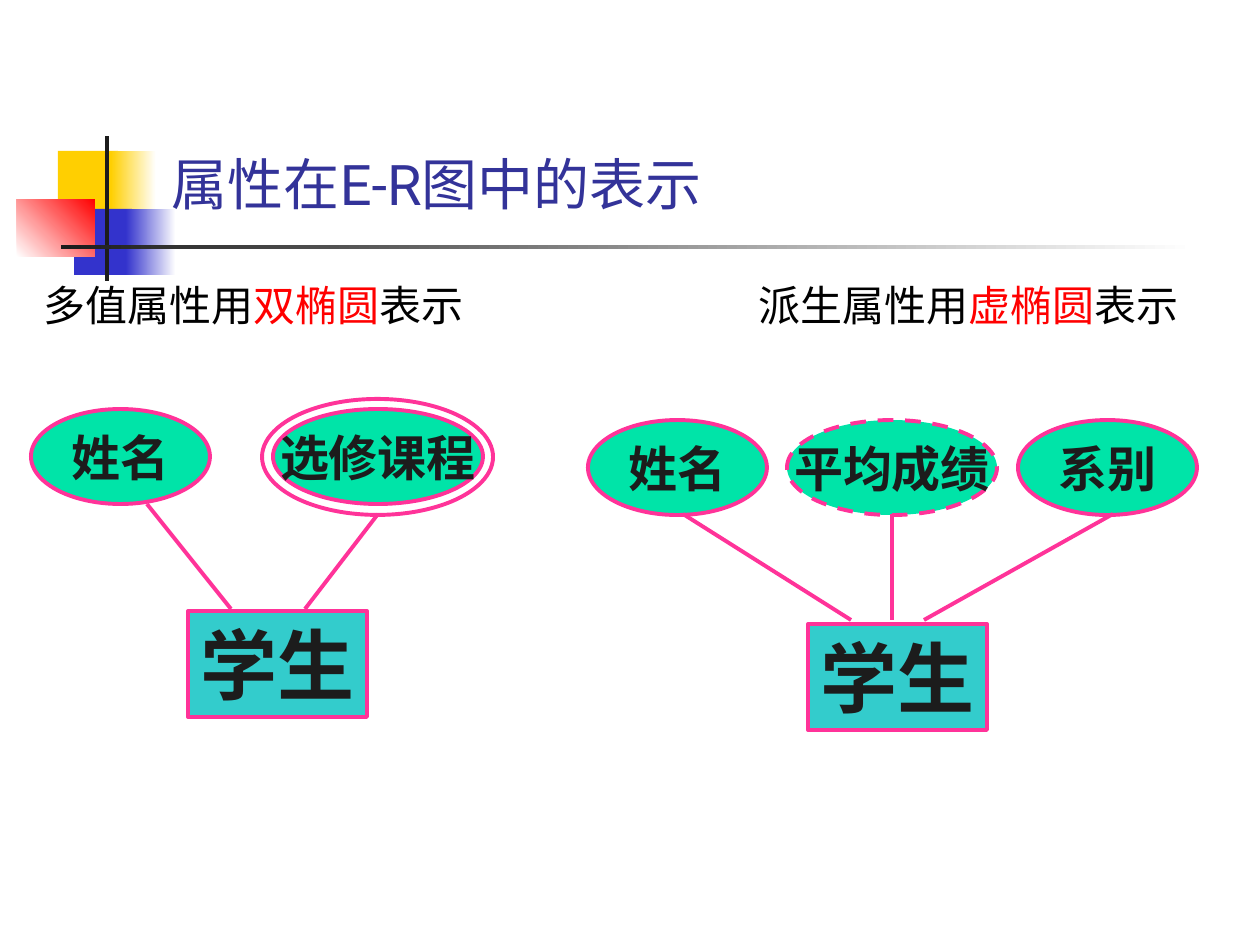
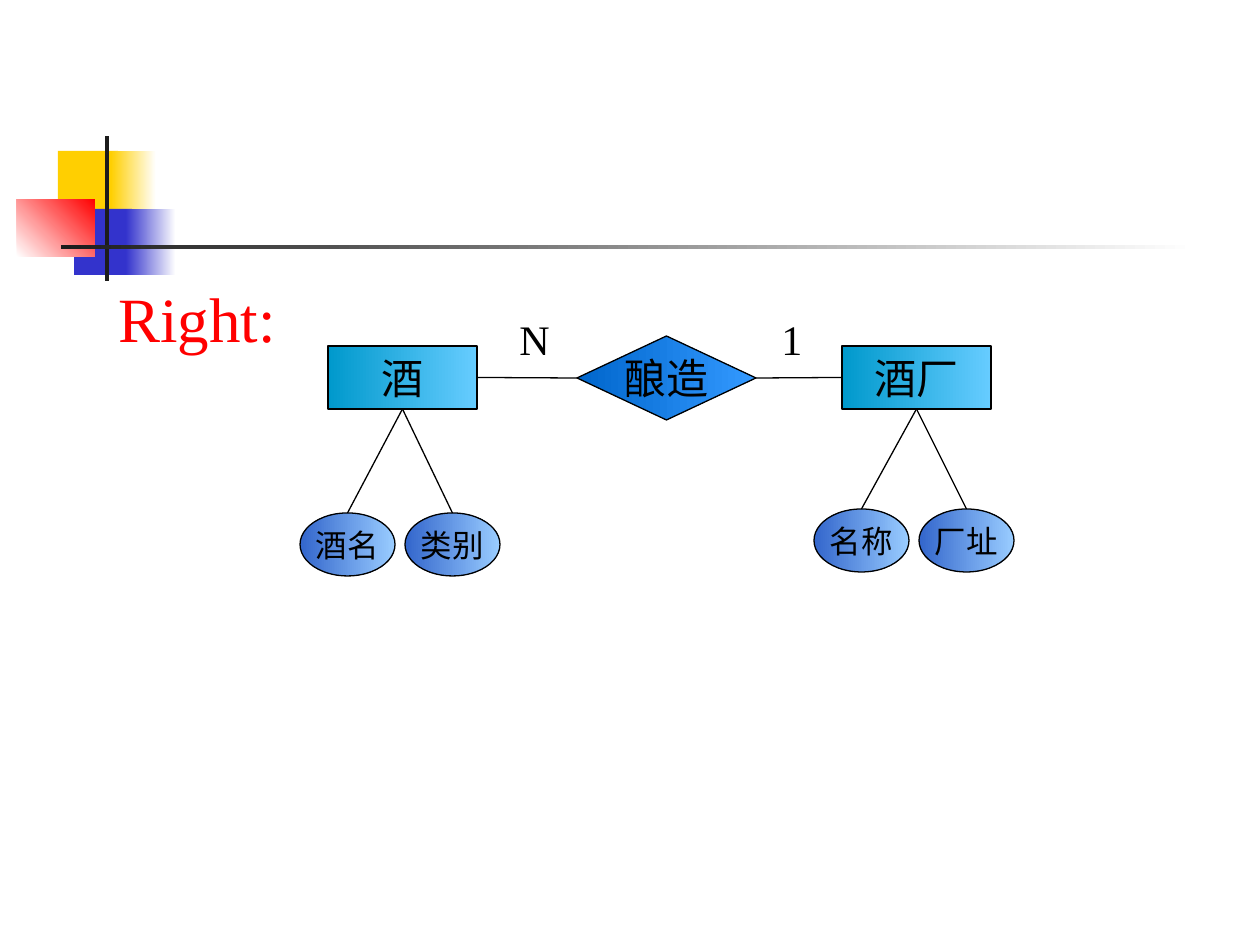
from lxml.etree import SubElement
from pptx import Presentation
from pptx.dml.color import RGBColor
from pptx.enum.dml import MSO_LINE
from pptx.enum.shapes import MSO_CONNECTOR, MSO_SHAPE
from pptx.enum.text import MSO_ANCHOR, PP_ALIGN
from pptx.oxml.ns import qn
from pptx.util import Pt

PX = 914400 / 126
RECT, OVAL = MSO_SHAPE.RECTANGLE, MSO_SHAPE.OVAL
DIAMOND = MSO_SHAPE.FLOWCHART_DECISION
BLACK, DARK, WHITE, RED = "000000", "1C1C1C", "FFFFFF", "FF0000"
PINK, GREEN, TEAL = "FF3399", "00E4A8", "33CCCC"
YELLOW, BLUE, TITLE = "FFCF01", "3333CC", "333399"
BOLD = {"name": "Times New Roman", "bold": True}
PLAIN = {"name": "Times New Roman", "bold": False}
SANS = {"name": "Roboto", "bold": False}


def draw(slide, kind, box, hues=(), edge=None, width=0.75, angle=0):
    """Add a shape with no fill, a solid fill or a two-colour gradient."""
    shape = slide.shapes.add_shape(kind, *[round(n * PX) for n in box])
    shape.shadow.inherit = False
    if len(hues) == 2:
        shape.fill.gradient()
        shape.fill.gradient_angle = angle
        for stop, hue in zip(shape.fill.gradient_stops, hues):
            stop.color.rgb = RGBColor.from_string(hue)
    elif hues:
        shape.fill.solid()
        shape.fill.fore_color.rgb = RGBColor.from_string(hues[0])
    else:
        shape.fill.background()
    if edge:
        shape.line.color.rgb = RGBColor.from_string(edge)
        shape.line.width = Pt(width)
    else:
        shape.line.fill.background()
    return shape


def write(shape, runs, size, style, align=PP_ALIGN.CENTER,
          anchor=MSO_ANCHOR.MIDDLE, wrap=False):
    """Fill a shape with one paragraph of (text, colour) runs."""
    frame = shape.text_frame
    frame.word_wrap = wrap
    frame.vertical_anchor = anchor
    para = frame.paragraphs[0]
    para.alignment = align
    for text, hue in runs:
        run = para.add_run()
        run.text = text
        run.font.size = Pt(size)
        run.font.color.rgb = RGBColor.from_string(hue)
        for key, value in style.items():
            setattr(run.font, key, value)


deck = Presentation()
deck.slide_width, deck.slide_height = round(1260 * PX), round(945 * PX)
first = deck.slides.add_slide(deck.slide_layouts[5])
second = deck.slides.add_slide(deck.slide_layouts[6])

# Shared corner blocks and rules, moved to the slide master
bands = [
    ((58, 151, 60, 66), (YELLOW,), 0),
    ((111, 151, 45, 66), (YELLOW, WHITE), 0),
    ((74, 209, 58, 66), (BLUE,), 0),
    ((126, 209, 50, 66), (BLUE, WHITE), 0),
    ((17, 199, 78, 58), (WHITE, RED), 45),
    ((105, 136, 4, 145), (DARK,), 0),
    ((61, 245, 1134, 4), (DARK, WHITE), 0),
]
tree = deck.slide_master.shapes._spTree
for i, (box, hues, angle) in enumerate(bands):
    band = draw(first, RECT, box, hues, angle=angle)
    band.name = f"Band {i + 1}"
    band._element.nvSpPr.cNvPr.set("id", str(100 + i))
    tree.insert(2 + i, band._element)

# Slide 1: multivalued and derived attributes
title = first.shapes.title
title.left, title.top, title.width, title.height = [
    round(n * PX) for n in (159, 103, 1074, 120)]
write(title, [("属性在E-R图中的表示", TITLE)], 32, SANS,
      PP_ALIGN.LEFT, MSO_ANCHOR.BOTTOM, True)

for x, wide, lead, mark in [(31, 483, "多值属性用", "双椭圆"),
                            (746, 473, "派生属性用", "虚椭圆")]:
    note = first.shapes.add_textbox(
        *[round(n * PX) for n in (x, 273, wide, 63)])
    write(note, [(lead, BLACK), (mark, RED), ("表示", BLACK)], 24, SANS,
          PP_ALIGN.LEFT, MSO_ANCHOR.TOP, True)

for x, y in [(188, 611), (808, 624)]:
    student = draw(first, RECT, (x, y, 179, 106), (TEAL,), PINK, 2.25)
    write(student, [("学生", DARK)], 44, BOLD)

for text, x, y, wide in [("姓名", 31, 409, 179), ("选修课程", 273, 409, 210),
                         ("姓名", 588, 420, 179), ("平均成绩", 787, 420, 210),
                         ("系别", 1018, 420, 179)]:
    trait = draw(first, OVAL, (x, y, wide, 95), (GREEN,), PINK, 2.25)
    write(trait, [(text, DARK)], 28, BOLD)
    if text == "平均成绩":
        trait.line.dash_style = MSO_LINE.DASH
draw(first, OVAL, (262, 399, 231, 116), edge=PINK, width=2.25)

# Each link: slide, ends, colour, width, (shape, side) at start and end
links = [(first, ends, PINK, 2.25, None, None) for ends in [
    (378, 514, 305, 609), (231, 609, 147, 504), (892, 514, 892, 620),
    (851, 620, 683, 514), (924, 620, 1113, 514)]]

# Slide 2: wine and winery
brew = draw(second, DIAMOND, (577, 336, 179, 84), ("0066CC", "3399FF"), BLACK)
write(brew, [("酿造", BLACK)], 24, PLAIN)

for x, text, side, port, y, traits in [
        (328, "酒", 3, 1, 513, ("酒名", "类别")),
        (842, "酒厂", 1, 3, 509, ("名称", "厂址"))]:
    thing = draw(second, RECT, (x, 346, 149, 63), ("0099CC", "66CCFF"), BLACK)
    write(thing, [(text, BLACK)], 24, PLAIN)
    links.append((second, (0, 0, 0, 0), BLACK, 0.75,
                  (thing, side), (brew, port)))
    for i, label in enumerate(traits):
        trait = draw(second, OVAL, (x - 28 + 105 * i, y, 95, 63),
                     ("3366CC", "99CCFF"), BLACK)
        write(trait, [(label, BLACK)], 18, PLAIN)
        links.append((second, (0, 0, 0, 0), BLACK, 0.75,
                      (trait, 0), (thing, 2)))

for text, box, hue, size in [("N", (507, 307, 55, 63), BLACK, 24),
                             ("1", (769, 307, 45, 63), BLACK, 24),
                             ("Right:", (106, 273, 183, 88), RED, 36)]:
    label = second.shapes.add_textbox(*[round(n * PX) for n in box])
    write(label, [(text, hue)], size, PLAIN, PP_ALIGN.LEFT, MSO_ANCHOR.TOP)

for slide, ends, hue, width, start, stop in links:
    link = slide.shapes.add_connector(
        MSO_CONNECTOR.STRAIGHT, *[round(n * PX) for n in ends])
    link.line.color.rgb = RGBColor.from_string(hue)
    link.line.width = Pt(width)
    SubElement(link._element.spPr, qn("a:effectLst"))
    if start:
        link.begin_connect(*start)
        link.end_connect(*stop)

deck.save("out.pptx")
